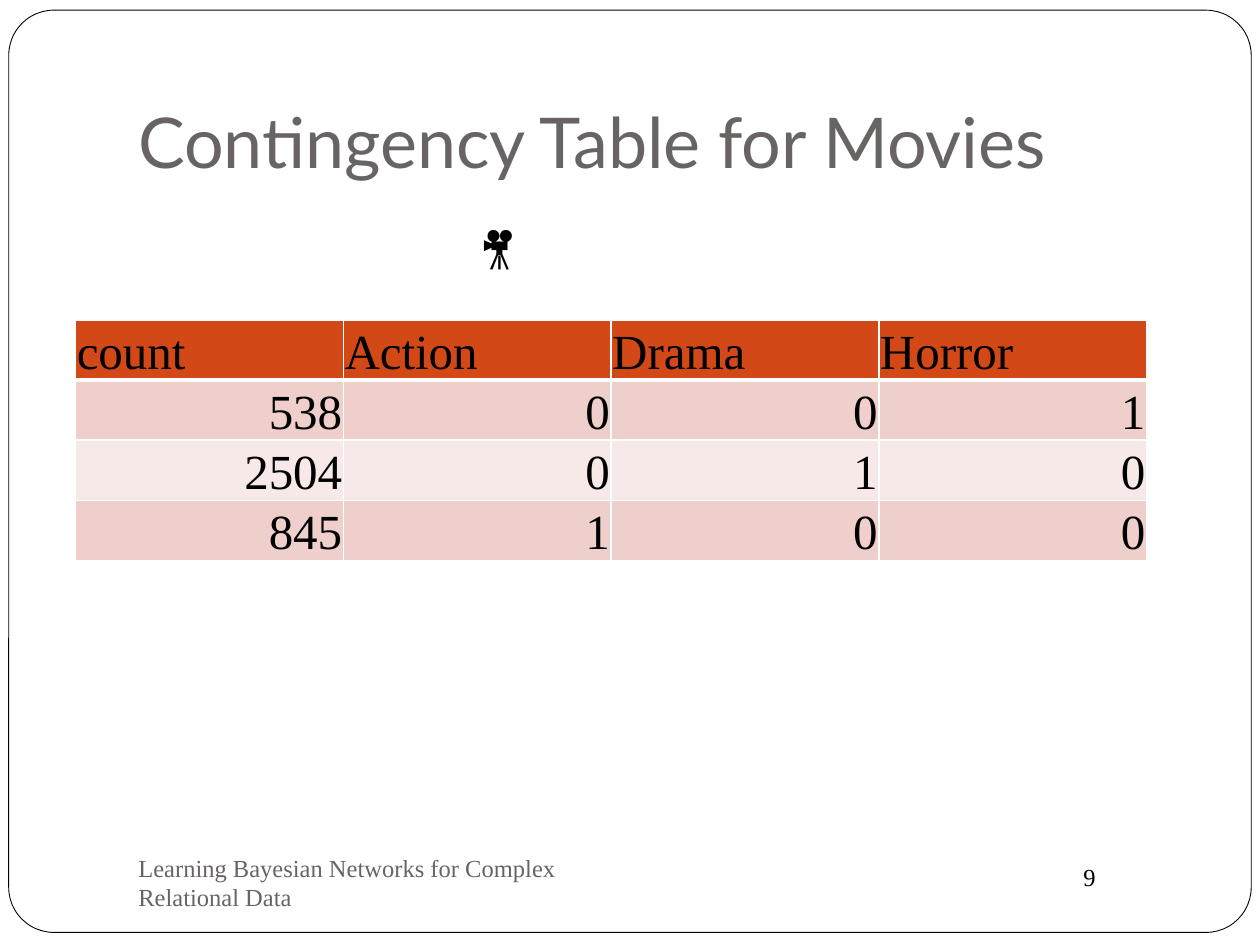
from lxml import etree
from pptx import Presentation
from pptx.dml.color import RGBColor
from pptx.enum.shapes import MSO_SHAPE
from pptx.enum.text import MSO_ANCHOR, PP_ALIGN
from pptx.oxml.ns import qn
from pptx.util import Pt

ROUNDED = MSO_SHAPE.ROUNDED_RECTANGLE
TOP, MIDDLE, BOTTOM = MSO_ANCHOR.TOP, MSO_ANCHOR.MIDDLE, MSO_ANCHOR.BOTTOM
LEFT, RIGHT = PP_ALIGN.LEFT, PP_ALIGN.RIGHT

TITLE = "Contingency Table for Movies"
FOOTER = "Learning Bayesian Networks for Complex Relational Data"
PAGE = "9"
ICON = "🎥"
HEADER = ["count", "Action", "Drama", "Horror"]
COUNTS = [
    [538, 0, 0, 1],
    [2504, 0, 1, 0],
    [845, 1, 0, 0],
]

THEME = {
    "heading": "Lato", "body": "Times New Roman",
    "ink": "000000", "muted": "696464", "paper": "FFFFFF",
    "header": "D34817", "bands": ("EFCFCC", "F7E9E8"),
    "title": 40, "cell": 28, "icon": 24, "small": 14,
}

TABLE_BOX = (43.2, 182.9, 612, 128)
TEXTS = [
    (PAGE, (612, 489, 72, 24.2), "body", "small", "ink", TOP, 3.6),
    (TITLE, (72, 21.6, 612, 90), "heading", "title", "muted", BOTTOM, 7.2),
    (FOOTER, (72, 486, 312, 36), "body", "small", "muted", MIDDLE, 3.6),
    (ICON, (268.6, 122.4, 51.8, 36), "body", "icon", "ink", TOP, 3.6),
]


def rgb(name):
    return RGBColor.from_string(THEME.get(name, name))


def write(tf, text, font, size, color, align=LEFT):
    p = tf.paragraphs[0]
    p.alignment = align
    r = p.add_run()
    r.text = text
    r.font.name = THEME[font]
    r.font.size = Pt(THEME[size])
    r.font.color.rgb = rgb(color)


def add_frame(s):
    sp = s.shapes.add_shape(ROUNDED, Pt(5), Pt(5.8), Pt(710), Pt(527))
    sp.adjustments[0] = 0.049
    sp.shadow.inherit = False
    sp.fill.solid()
    sp.fill.fore_color.rgb = rgb("paper")
    sp.line.color.rgb = rgb("ink")
    sp.line.width = Pt(0.5)


def add_text(s, text, box, font, size, color, anchor, bottom):
    tf = s.shapes.add_textbox(*map(Pt, box)).text_frame
    tf.word_wrap = True
    tf.vertical_anchor = anchor
    tf.margin_bottom = Pt(bottom)
    write(tf, text, font, size, color)


def set_borders(cell, widths):
    tc_pr = cell._tc.get_or_add_tcPr()
    for side, width in zip("LRTB", widths):
        ln = etree.SubElement(tc_pr, qn(f"a:ln{side}"), w=str(Pt(width)))
        fill = etree.SubElement(ln, qn("a:solidFill"))
        etree.SubElement(fill, qn("a:srgbClr"), val=THEME["paper"])


def add_table(s):
    rows = [HEADER] + COUNTS
    left, top, width, height = map(Pt, TABLE_BOX)
    table = s.shapes.add_table(len(rows), len(HEADER), left, top, width, height).table
    for i, row in enumerate(rows):
        is_header = i == 0
        color = "header" if is_header else THEME["bands"][(i - 1) % 2]
        widths = (1, 1, 3 if i == 1 else 1, 3 if is_header else 1)
        for j, value in enumerate(row):
            cell = table.cell(i, j)
            cell.margin_left = cell.margin_right = cell.margin_top = Pt(0.7)
            cell.margin_bottom = Pt(0)
            cell.vertical_anchor = BOTTOM
            set_borders(cell, widths)
            cell.fill.solid()
            cell.fill.fore_color.rgb = rgb(color)
            write(cell.text_frame, str(value), "body", "cell", "ink",
                  LEFT if is_header else RIGHT)


def main():
    prs = Presentation()
    prs.slide_width, prs.slide_height = Pt(720), Pt(540)
    s = prs.slides.add_slide(prs.slide_layouts[6])
    add_frame(s)
    for item in TEXTS:
        add_text(s, *item)
    add_table(s)
    prs.save("out.pptx")


if __name__ == "__main__":
    main()
